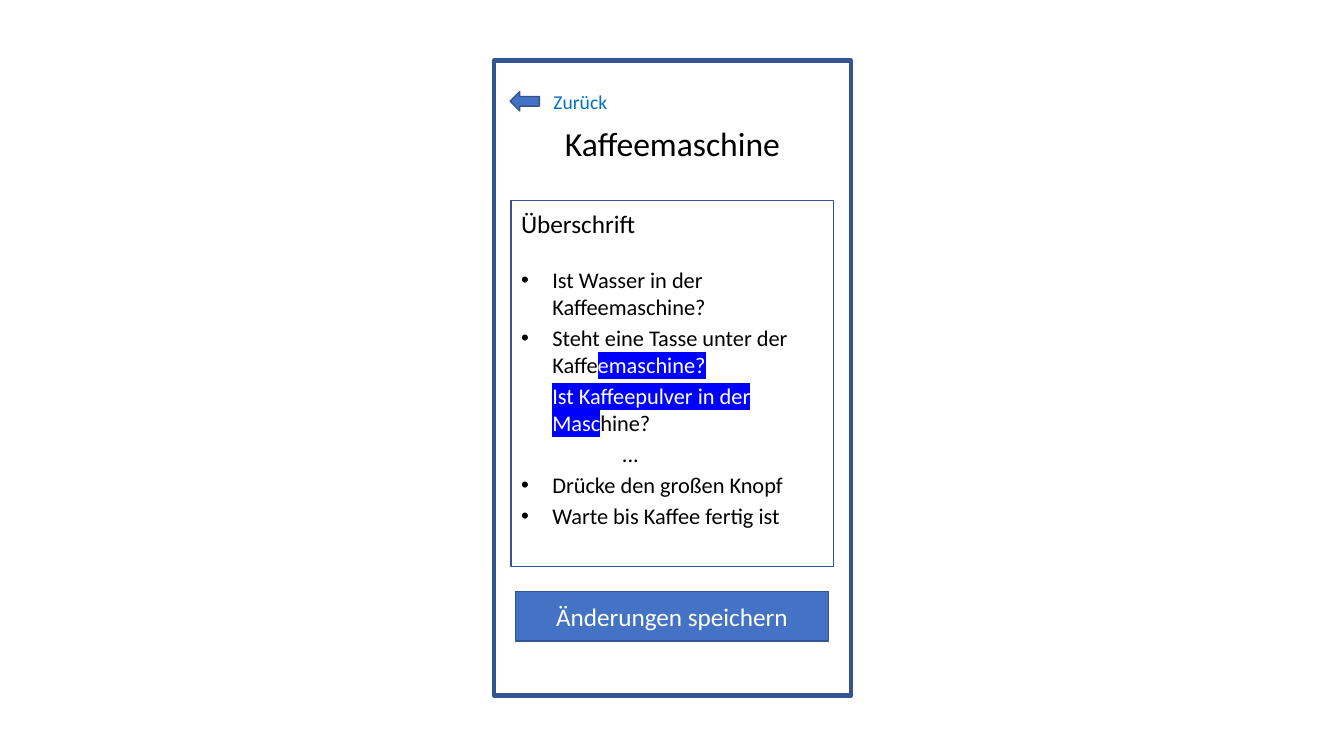
from lxml.etree import SubElement
from pptx import Presentation
from pptx.dml.color import RGBColor
from pptx.enum.shapes import MSO_SHAPE
from pptx.enum.text import MSO_ANCHOR, PP_ALIGN
from pptx.oxml.ns import qn
from pptx.util import Inches, Pt

RECT, ARROW = MSO_SHAPE.RECTANGLE, MSO_SHAPE.LEFT_ARROW
MID, CENTER, LEFT = MSO_ANCHOR.MIDDLE, PP_ALIGN.CENTER, PP_ALIGN.LEFT
JUST = PP_ALIGN.JUSTIFY
FONT = "Calibri"
COLORS = {"line": "325491", "fill": "4472C4", "link": "0070C0",
          "text": "000000", "white": "FFFFFF", "mark": "0000FF"}
STEPS = [
    [("Ist Wasser in der Kaffeemaschine?", False)],
    [("Steht eine Tasse unter der Kaffe", False), ("emaschine?", True)],
    [("Ist Kaffeepulver in der Masc", True), ("hine?", False)],
    [("...", False)],
    [("Drücke den großen Knopf", False)],
    [("Warte bis Kaffee fertig ist", False)],
]


def rgb(name):
    return RGBColor.from_string(COLORS[name])


def style(par, size, color="text", align=LEFT):
    par.alignment = align
    par.font.name = FONT
    par.font.size = Pt(size)
    par.font.color.rgb = rgb(color)


def add_box(shapes, kind, x, y, w, h, fill=None, width=1):
    box = shapes.add_shape(kind, Inches(x), Inches(y), Inches(w), Inches(h))
    box.shadow.inherit = False
    box.line.color.rgb = rgb("line")
    box.line.width = Pt(width)
    if fill:
        box.fill.solid()
        box.fill.fore_color.rgb = rgb(fill)
    else:
        box.fill.background()
    return box


def add_text(shapes, x, y, w, h, text, size, color="text", align=LEFT):
    box = shapes.add_textbox(Inches(x), Inches(y), Inches(w), Inches(h))
    frame = box.text_frame
    frame.word_wrap = True
    frame.text = text
    style(frame.paragraphs[0], size, color, align)
    return frame


def indent(par, left, hang=0):
    props = par._p.get_or_add_pPr()
    props.set("marL", str(Inches(left)))
    props.set("indent", str(-Inches(hang)))
    if hang:
        SubElement(props, qn("a:buFont"), typeface="Arial")
        SubElement(props, qn("a:buChar"), char="•")


def mark(run):
    run.font.color.rgb = rgb("white")
    light = SubElement(run._r.get_or_add_rPr(), qn("a:highlight"))
    SubElement(light, qn("a:srgbClr"), val=COLORS["mark"])


def add_back(slide, x, y):
    group = slide.shapes.add_group_shape()
    add_box(group.shapes, ARROW, x, y + 0.07, 0.29, 0.19, "fill")
    add_text(group.shapes, x + 0.33, y, 1.54, 0.34, "Zurück", 14, "link")


def add_list(slide, x, y, w, h):
    frame = add_text(slide.shapes, x, y + 0.03, w, h, "Überschrift", 18,
                     align=JUST)
    frame.paragraphs[0].space_after = Pt(19.5)
    for step in STEPS:
        par = frame.add_paragraph()
        if step[0][0] == "...":
            indent(par, 1)
        else:
            indent(par, 0.31, 0.31)
        par.space_after = Pt(3)
        style(par, 16)
        for text, marked in step:
            run = par.add_run()
            run.text = text
            if marked:
                mark(run)
    add_box(slide.shapes, RECT, x, y, w, h)


def add_button(slide, x, y, w, h):
    box = add_box(slide.shapes, RECT, x, y, w, h, "fill")
    frame = box.text_frame
    frame.vertical_anchor = MID
    frame.text = "Änderungen speichern"
    style(frame.paragraphs[0], 18, "white", CENTER)


def add_phone(slide, x, y, w, h):
    add_box(slide.shapes, RECT, x, y, w, h, width=3)
    add_text(slide.shapes, x + 0.47, y + 0.57, w - 0.94, 0.5,
             "Kaffeemaschine", 24, align=CENTER)
    add_list(slide, x + 0.17, y + 1.39, w - 0.34, 3.63)
    add_button(slide, x + 0.21, y + 5.27, w - 0.43, 0.49)
    add_back(slide, x + 0.16, y + 0.24)


def main():
    deck = Presentation()
    deck.slide_width, deck.slide_height = Inches(13.33), Inches(7.5)
    slide = deck.slides.add_slide(deck.slide_layouts[6])
    add_phone(slide, 4.9, 0.6, 3.54, 6.3)
    deck.save("out.pptx")


if __name__ == "__main__":
    main()
